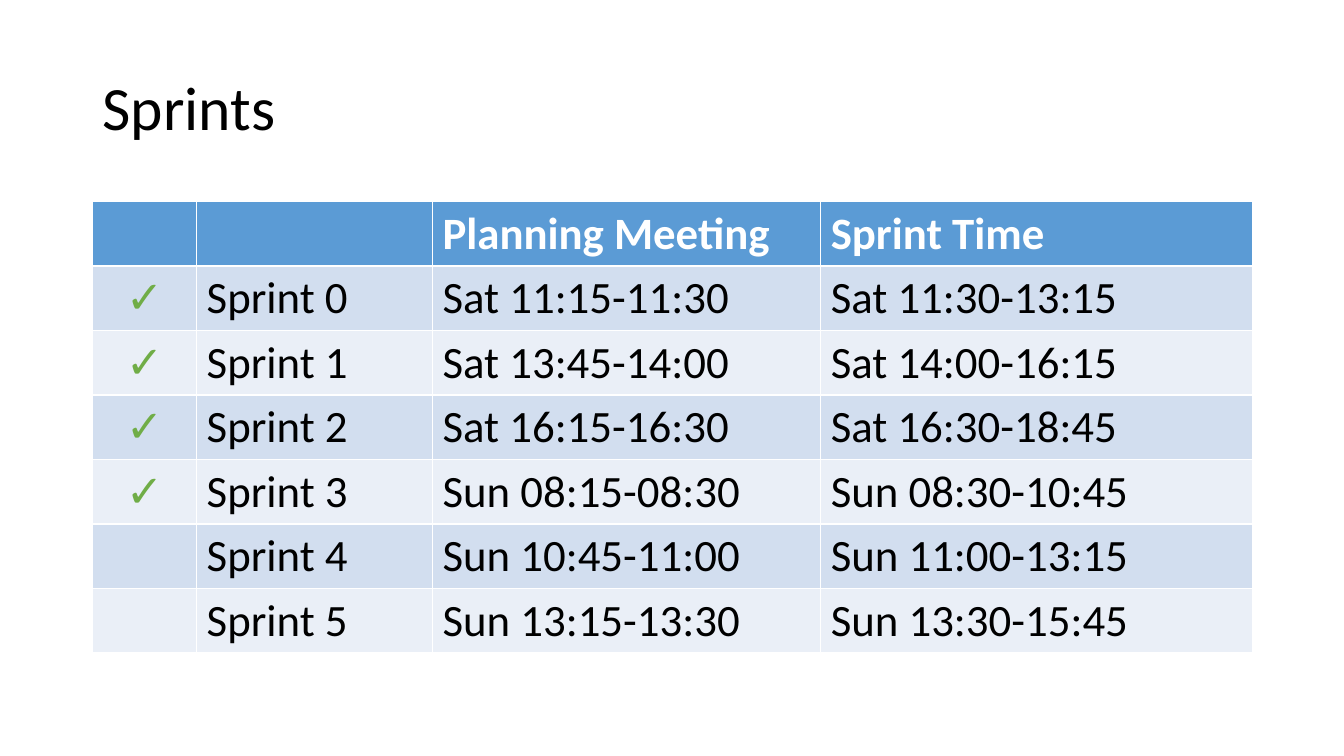
from pptx import Presentation
from pptx.dml.color import RGBColor
from pptx.enum import text
from pptx.util import Inches, Pt

BLACK = RGBColor(0x00, 0x00, 0x00)
WHITE = RGBColor(0xFF, 0xFF, 0xFF)
GREEN = RGBColor(0x70, 0xAD, 0x47)
HEADER_BLUE = RGBColor(0x5B, 0x9B, 0xD5)
BAND_DARK = RGBColor(0xD2, 0xDE, 0xEF)
BAND_LIGHT = RGBColor(0xEA, 0xEF, 0xF7)

LEFT, WIDTH = Inches(0.92), Inches(11.5)
ROW_HEIGHT = Inches(0.64)
COLUMN_WIDTHS = (1.03, 2.34, 3.85, 4.28)
SPRINTS_DONE = 4
HEADINGS = ("", "", "Planning Meeting", "Sprint Time")
TIMES = [
    ("Sat 11:15-11:30", "Sat 11:30-13:15"),
    ("Sat 13:45-14:00", "Sat 14:00-16:15"),
    ("Sat 16:15-16:30", "Sat 16:30-18:45"),
    ("Sun 08:15-08:30", "Sun 08:30-10:45"),
    ("Sun 10:45-11:00", "Sun 11:00-13:15"),
    ("Sun 13:15-13:30", "Sun 13:30-15:45"),
]


def write(paragraph, words, size, color, bold=False):
    run = paragraph.add_run()
    run.text = words
    formats = {"name": "Calibri", "size": Pt(size), "bold": bold}
    for key, value in formats.items():
        setattr(run.font, key, value)
    run.font.color.rgb = color


prs = Presentation()
prs.slide_width, prs.slide_height = Inches(13.33), Inches(7.5)
slide = prs.slides.add_slide(prs.slide_layouts[6])

# Title
title = slide.shapes.add_textbox(LEFT, Inches(0.37), WIDTH, Inches(1.45)).text_frame
title.word_wrap = True
title.vertical_anchor = text.MSO_ANCHOR.MIDDLE
title.paragraphs[0].line_spacing = 0.9
write(title.paragraphs[0], "Sprints", 44, BLACK)

# Schedule: a heading row, then one row per sprint
rows = [HEADINGS]
for number, (planning, sprint) in enumerate(TIMES):
    tick = "✓" if number < SPRINTS_DONE else ""
    rows.append((tick, f"Sprint {number}", planning, sprint))

schedule = slide.shapes.add_table(
    len(rows), len(HEADINGS), LEFT, Inches(2), WIDTH, ROW_HEIGHT * len(rows)
).table
for column, width in zip(schedule.columns, COLUMN_WIDTHS):
    column.width = Inches(width)

# Cells; the default table style draws the white rules
for r, row in enumerate(rows):
    header = r == 0
    band = HEADER_BLUE if header else BAND_DARK if r % 2 else BAND_LIGHT
    for c, words in enumerate(row):
        cell = schedule.cell(r, c)
        cell.fill.solid()
        cell.fill.fore_color.rgb = band
        if not words:
            continue
        paragraph = cell.text_frame.paragraphs[0]
        if c == 0:
            paragraph.alignment = text.PP_ALIGN.CENTER
        color = WHITE if header else GREEN if c == 0 else BLACK
        write(paragraph, words, 32, color, bold=header)

prs.save("out.pptx")
